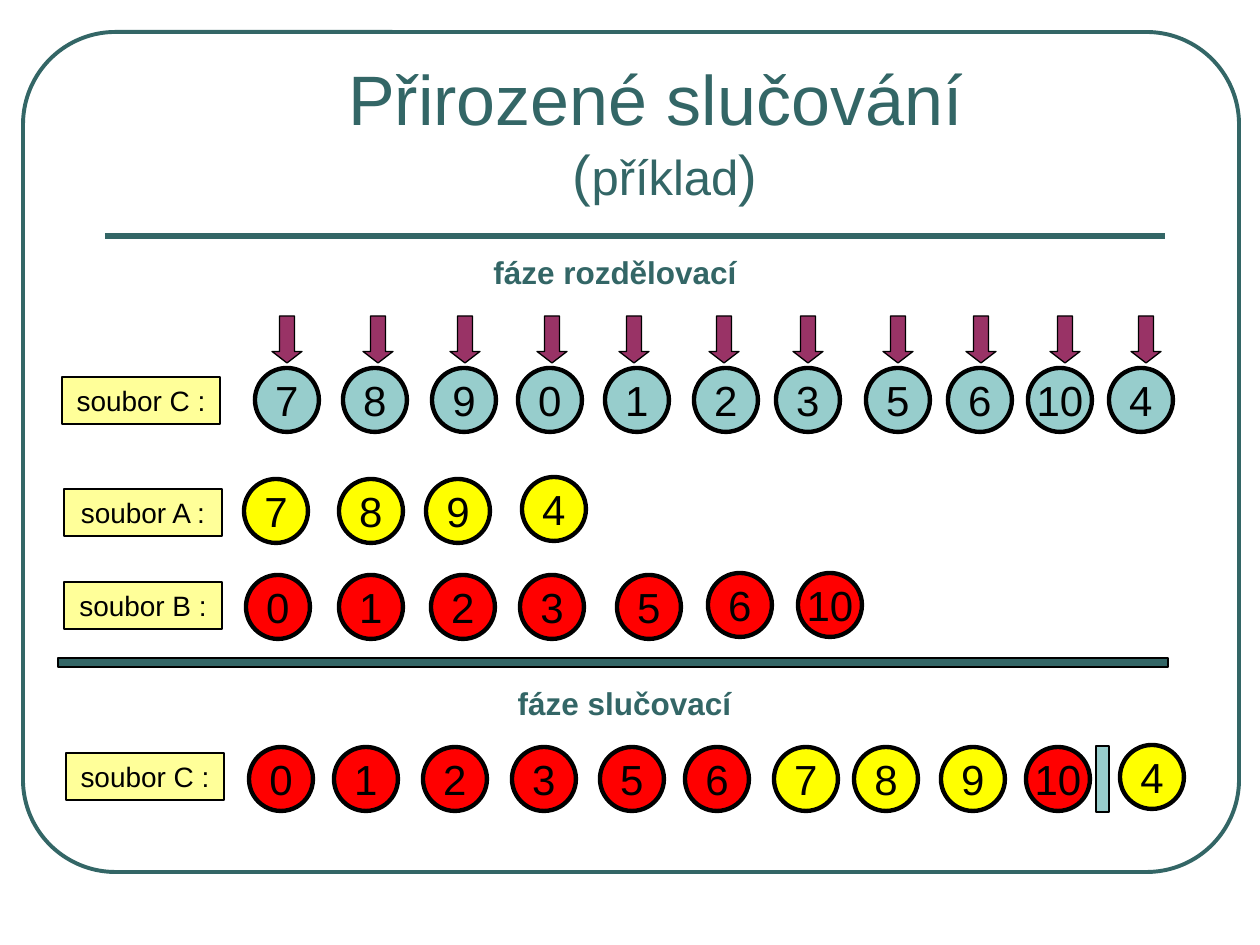
from pptx import Presentation
from pptx import util as u
from pptx.dml import color
from pptx.enum import shapes, text
from pptx.oxml.ns import qn
from lxml import etree

SCALE = 914400 / 126
TEAL, AQUA, PLUM = "336666", "97CDCC", "993366"
CREAM, GOLD, RED, BLACK = "FFFF99", "FFFF00", "FF0000", "000000"
KIND = shapes.MSO_SHAPE


def px(n):
    return u.Emu(round(n * SCALE))


def hue(code):
    return color.RGBColor.from_string(code)


def write(shape, *runs, tint=BLACK, bold=False, wrap=False,
          anchor=text.MSO_ANCHOR.MIDDLE):
    frame = shape.text_frame
    frame.word_wrap = wrap
    frame.vertical_anchor = anchor
    par = frame.paragraphs[0]
    par.alignment = text.PP_ALIGN.CENTER
    for words, size in runs:
        if words == "\n":
            par.add_line_break()
            continue
        run = par.add_run()
        run.text = words
        run.font.name = "Arial"
        run.font.size = u.Pt(size)
        run.font.bold = bold
        run.font.color.rgb = hue(tint)


def draw(slide, kind, box, fill=None, line=BLACK, width=0.75):
    shape = slide.shapes.add_shape(kind, *map(px, box))
    shape.shadow.inherit = False
    if fill:
        shape.fill.solid()
        shape.fill.fore_color.rgb = hue(fill)
    else:
        shape.fill.background()
    shape.line.color.rgb = hue(line)
    shape.line.width = u.Pt(width)
    return shape


def frame(slide, box):
    left, top, wide, high = box
    edge = draw(slide, KIND.ROUNDED_RECTANGLE, box, line=TEAL, width=2.25)
    edge.adjustments[0] = 0.11
    rule = slide.shapes.add_connector(
        shapes.MSO_CONNECTOR.STRAIGHT, px(left + 82), px(top + 204),
        px(left + wide - 74), px(top + 204))
    rule.line.color.rgb = hue(TEAL)
    rule.line.width = u.Pt(3)
    etree.SubElement(rule._element.spPr, qn("a:effectLst"))


def title(slide, box):
    area = slide.shapes.add_textbox(*map(px, box))
    write(area, ("Přirozené slučování ", 40), ("\n", 40), ("(", 32),
          ("příklad", 28), (")", 32), tint=TEAL, wrap=True,
          anchor=text.MSO_ANCHOR.BOTTOM)


def phase(slide, box, words):
    area = slide.shapes.add_textbox(*map(px, box))
    write(area, (words, 18), tint=TEAL, bold=True,
          anchor=text.MSO_ANCHOR.TOP)


def row(slide, box, name, cells, fills, rise, late=0):
    left, top, wide, high = box
    label = draw(slide, KIND.RECTANGLE, box, CREAM)
    write(label, (name, 16), anchor=text.MSO_ANCHOR.TOP)
    for i, (value, step) in enumerate(cells):
        lift = rise + (2 if i >= len(cells) - late else 0)
        ball = draw(slide, KIND.OVAL, (left + step, top - lift, 64, 64),
                    fills(value), width=2.5)
        write(ball, (str(value), 24))


def arrows(slide, box, steps):
    left, top, wide, high = box
    for step in steps:
        arrow = draw(slide, KIND.DOWN_ARROW,
                     (left + step, top, wide, high), PLUM)
        arrow.adjustments[0] = 0.5
        arrow.adjustments[1] = 0.385


def main():
    deck = Presentation()
    deck.slide_width, deck.slide_height = px(1260), px(945)
    slide = deck.slides.add_slide(deck.slide_layouts[6])
    frame(slide, (23, 32, 1216, 840))
    title(slide, (163, 93, 1004, 120))

    phase(slide, (476, 247, 278, 50), "fáze rozdělovací")
    arrows(slide, (272, 316, 30, 47),
           (0, 91, 178, 265, 347, 437, 521, 611, 694, 778, 859))
    source = zip((7, 8, 9, 0, 1, 2, 3, 5, 6, 10, 4),
                 (193, 281, 370, 456, 543, 632, 714, 804, 886, 966, 1047))
    row(slide, (62, 377, 158, 47), "soubor C :", list(source),
        lambda value: AQUA, 9)

    first = ((7, 180), (8, 275), (9, 362), (4, 458))
    second = ((0, 182), (1, 275), (2, 367), (3, 456), (5, 553),
              (6, 644), (10, 734))
    gold = dict(first)

    def origin(value):
        return GOLD if value in gold else RED

    row(slide, (64, 489, 158, 47), "soubor A :", first, origin, 10, 1)
    row(slide, (64, 582, 158, 47), "soubor B :", second, origin, 7, 2)
    draw(slide, KIND.RECTANGLE, (58, 658, 1110, 9), TEAL)

    phase(slide, (503, 678, 243, 50), "fáze slučovací")
    merged = zip((0, 1, 2, 3, 5, 6, 7, 8, 9, 10, 4),
                 (183, 268, 357, 446, 534, 619, 708, 788, 875, 960, 1054))
    row(slide, (66, 753, 158, 47), "soubor C :", list(merged), origin, 6, 1)
    draw(slide, KIND.RECTANGLE, (1096, 746, 13, 66), AQUA)
    deck.save("out.pptx")


if __name__ == "__main__":
    main()
